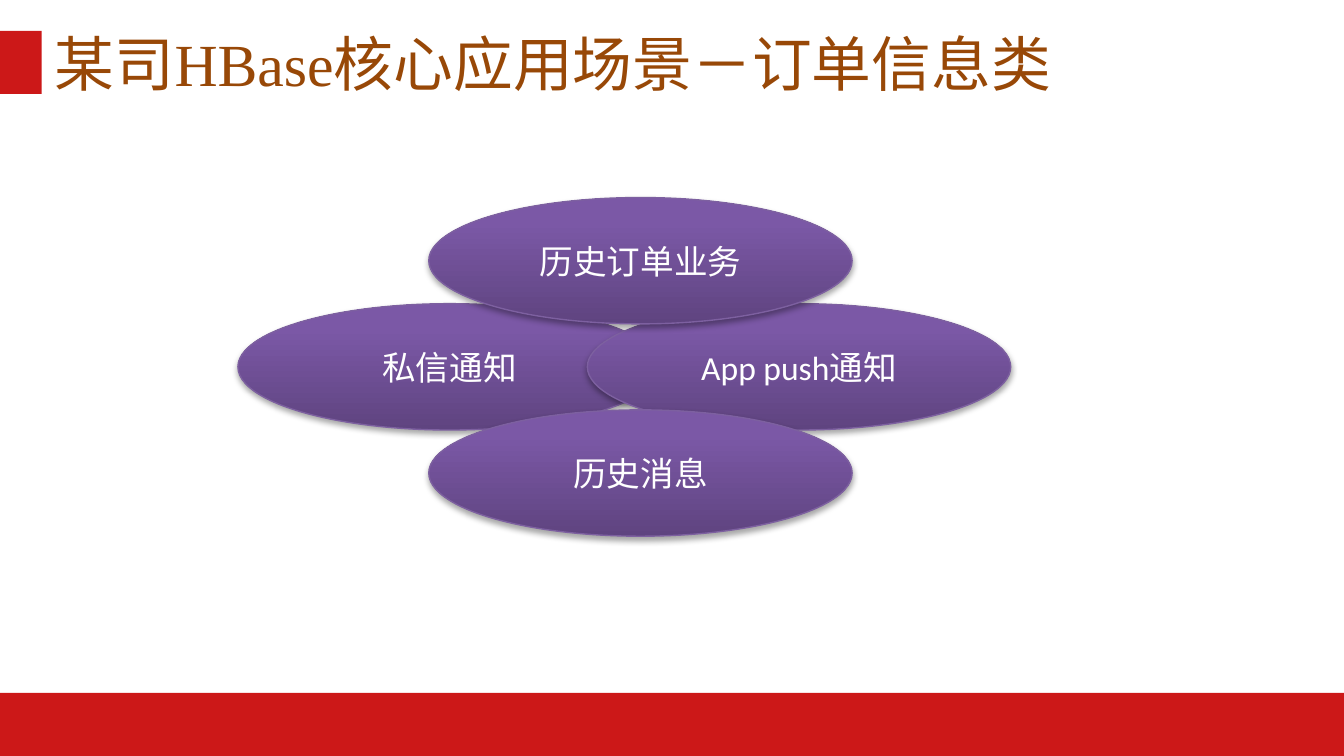
from copy import deepcopy

from lxml import etree
from pptx import Presentation
from pptx import util as u
from pptx.dml.color import RGBColor
from pptx.enum import shapes, text
from pptx.oxml.ns import qn

WIDE = 10
HIGH = WIDE * 9 / 16
RED, BROWN, WHITE, EDGE = "CC1818", "984807", "FFFFFF", "7D60A0"
STOPS = [(0, "5F4480"), (0.8, "7B58A6"), (1, "7C57A8")]
SHAPE = shapes.MSO_SHAPE


def rgb(code):
    return RGBColor.from_string(code)


def inches(box):
    return [u.Inches(v) for v in box]


def write(frame, words, font, size, color, align):
    frame.word_wrap = True
    frame.vertical_anchor = text.MSO_ANCHOR.MIDDLE
    frame.margin_top = frame.margin_bottom = 0
    para = frame.paragraphs[0]
    para.alignment = align
    run = para.add_run()
    run.text = words
    run.font.name = font
    run.font.size = u.Pt(size)
    run.font.color.rgb = rgb(color)


def add_bar(slide, box):
    bar = slide.shapes.add_shape(SHAPE.RECTANGLE, *inches(box))
    bar.shadow.inherit = False
    bar.fill.solid()
    bar.fill.fore_color.rgb = rgb(RED)
    bar.line.fill.background()


def add_title(slide, box, words):
    left, top, width, height = box
    mark = 0.31
    add_bar(slide, (left, top, mark, height))
    area = slide.shapes.add_textbox(*inches((left + mark, top, width - mark, height)))
    write(area.text_frame, words, "Times New Roman", 32, BROWN, text.PP_ALIGN.LEFT)


def shade(oval):
    """Fill with the three-stop gradient, dark at the bottom."""
    oval.fill.gradient()
    oval.fill.gradient_angle = 90
    first = next(oval.element.iter(qn("a:gs")))
    first.addnext(deepcopy(first))
    for stop, (place, color) in zip(oval.fill.gradient_stops, STOPS):
        stop.position = place
        stop.color.rgb = rgb(color)


def drop_shadow(oval):
    oval.shadow.inherit = False
    effects = oval.element.spPr.find(qn("a:effectLst"))
    outer = etree.SubElement(effects, qn("a:outerShdw"), blurRad="40000",
                             dist="23000", dir="5400000", rotWithShape="0")
    color = etree.SubElement(outer, qn("a:srgbClr"), val="000000")
    etree.SubElement(color, qn("a:alpha"), val="35000")


def add_oval(slide, box, words):
    oval = slide.shapes.add_shape(SHAPE.OVAL, *inches(box))
    shade(oval)
    oval.line.color.rgb = rgb(EDGE)
    oval.line.width = u.Pt(0.75)
    drop_shadow(oval)
    write(oval.text_frame, words, "Calibri", 18, WHITE, text.PP_ALIGN.CENTER)


def add_cluster(slide, box):
    """Overlapping ovals: two side by side, one below and one above."""
    left, top, width, height = box
    wide, high = 3.15, 0.94
    mid, step = left + 1.42, (height - high) / 2
    ovals = [
        (left, 1, "私信通知"),
        (left + width - wide, 1, "App push通知"),
        (mid, 2, "历史消息"),
        (mid, 0, "历史订单业务"),
    ]
    for x, row, words in ovals:
        add_oval(slide, (x, top + row * step, wide, high), words)


def main():
    deck = Presentation()
    deck.slide_width, deck.slide_height = inches((WIDE, HIGH))
    slide = deck.slides.add_slide(deck.slide_layouts[6])
    foot = 0.47
    add_bar(slide, (0, HIGH - foot, WIDE, foot))
    add_title(slide, (0, 0.23, 9.69, 0.47), "某司HBase核心应用场景－订单信息类")
    add_cluster(slide, (1.77, 1.47, 5.75, 2.52))
    deck.save("out.pptx")


if __name__ == "__main__":
    main()
